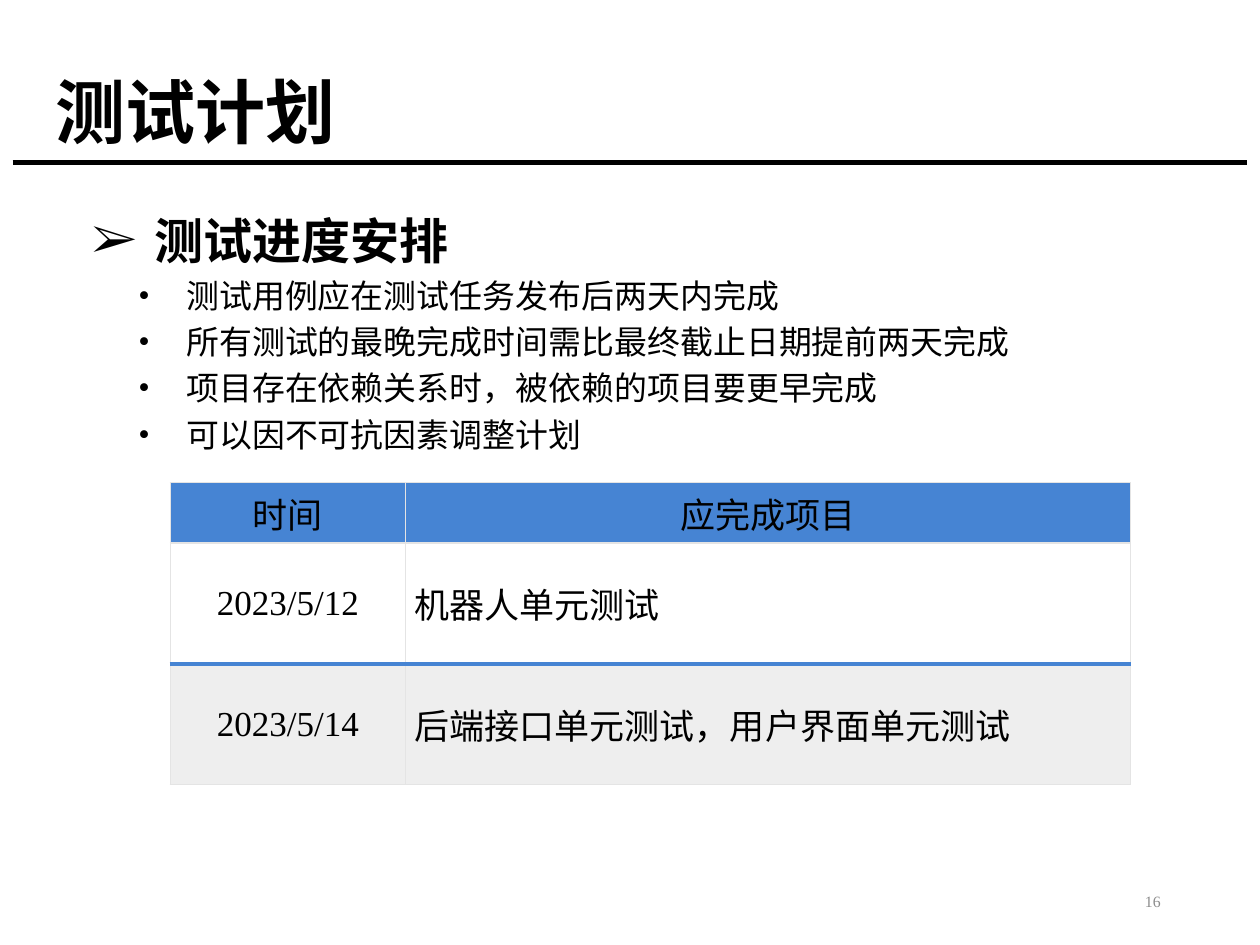
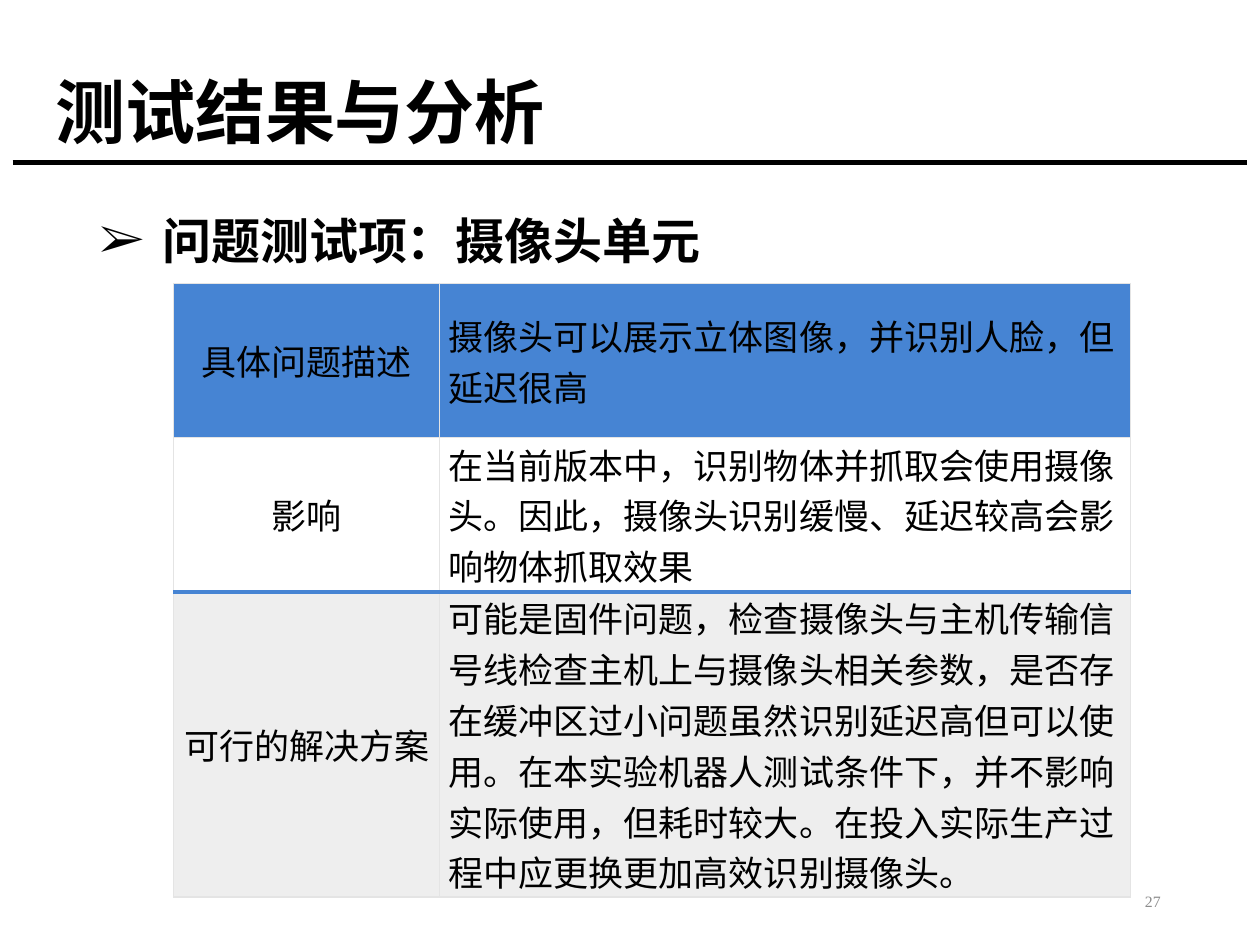
from lxml import etree
from pptx import Presentation
from pptx.dml.color import RGBColor
from pptx.enum.text import MSO_ANCHOR, PP_ALIGN
from pptx.oxml.ns import qn
from pptx.util import Inches, Pt

COLORS = {
    "text": "000000",
    "number": "8C8C8C",
    "accent": "4684D3",
    "plain": "FFFFFF",
    "band": "EEEEEE",
    "grid": "E4E4E4",
}
SERIF = "Times New Roman"
CHINESE = "Noto Sans CJK SC"
ROW_FILLS = ["accent", "plain", "band"]


def color(name):
    return RGBColor.from_string(COLORS[name])


def style(para, size, font, bold=False, ink="text"):
    for span in para.runs:
        span.font.size = Pt(size)
        span.font.name = font
        span.font.bold = bold
        span.font.color.rgb = color(ink)
        east_asian = etree.Element(qn("a:ea"), typeface=CHINESE)
        span.font._element.find(qn("a:latin")).addnext(east_asian)


def add_text_box(page, box, anchor=MSO_ANCHOR.TOP):
    frame = page.shapes.add_textbox(*map(Inches, box)).text_frame
    frame.word_wrap = True
    frame.vertical_anchor = anchor
    return frame


def set_bullet(para, mark, left, hanging):
    properties = para._p.get_or_add_pPr()
    properties.set("marL", str(Inches(left)))
    properties.set("indent", str(-Inches(hanging)))
    etree.SubElement(properties, qn("a:buFont"), typeface=SERIF)
    etree.SubElement(properties, qn("a:buChar"), char=mark)


# Title, rule and page number shared by all pages
def add_frame(page, title, number):
    rule = page.shapes.add_connector(
        1, Inches(0.1), Inches(1.29), Inches(9.9), Inches(1.29))
    rule.line.color.rgb = color("text")
    rule.line.width = Pt(3)
    etree.SubElement(rule._element.spPr, qn("a:effectLst"))

    para = add_text_box(page, (0.34, 0.39, 8.62, 1.06), MSO_ANCHOR.MIDDLE).paragraphs[0]
    para.text = title
    para.line_spacing = 0.9
    style(para, 40, "Calibri", bold=True)

    para = add_text_box(page, (7.06, 6.95, 2.25, 0.4), MSO_ANCHOR.MIDDLE).paragraphs[0]
    para.text = str(number)
    para.alignment = PP_ALIGN.RIGHT
    style(para, 9, SERIF, ink="number")


# Arrow heading followed by round bullets
def add_outline(page, box, heading, points=()):
    frame = add_text_box(page, box)
    para = frame.paragraphs[0]
    para.text = heading
    set_bullet(para, "➢", 0.5, 0.5)
    style(para, 28, SERIF, bold=True)
    for point in points:
        para = frame.add_paragraph()
        para.text = point
        para.level = 1
        para.space_before = Pt(3.8)
        set_bullet(para, "•", 0.75, 0.38)
        style(para, 18.8, "Cambria")


def set_borders(cell, accents):
    properties = cell._tc.get_or_add_tcPr()
    for index, side in enumerate("LRTB"):
        accented = side in accents
        line = etree.Element(qn(f"a:ln{side}"), w=str(Pt(2.25 if accented else 0.75)))
        fill = etree.SubElement(line, qn("a:solidFill"))
        etree.SubElement(fill, qn("a:srgbClr"), val=COLORS["accent" if accented else "grid"])
        properties.insert(index, line)


# Table with a filled top row and an accent line above the last row
def add_grid(page, left, top, widths, heights, rows, font, centred_header=False):
    table = page.shapes.add_table(
        len(rows), len(widths), Inches(left), Inches(top),
        Inches(sum(widths)), Inches(sum(heights))).table
    table.first_row = table.horz_banding = False
    for column, width in zip(table.columns, widths):
        column.width = Inches(width)
    for r, (texts, height) in enumerate(zip(rows, heights)):
        table.rows[r].height = Inches(height)
        accents = {len(rows) - 2: "B", len(rows) - 1: "T"}.get(r, "")
        for c, text in enumerate(texts):
            cell = table.cell(r, c)
            cell.vertical_anchor = MSO_ANCHOR.MIDDLE
            cell.margin_left = cell.margin_right = Inches(0.07)
            cell.margin_top = cell.margin_bottom = 0
            cell.fill.solid()
            cell.fill.fore_color.rgb = color(ROW_FILLS[r])
            set_borders(cell, accents)
            para = cell.text_frame.paragraphs[0]
            para.text = text
            if c == 0 or (r == 0 and centred_header):
                para.alignment = PP_ALIGN.CENTER
            style(para, 20, font)


def add_plan_page(page):
    add_frame(page, "测试计划", 16)
    add_outline(page, (0.63, 1.62, 8.69, 5.73), "测试进度安排", [
        "测试用例应在测试任务发布后两天内完成",
        "所有测试的最晚完成时间需比最终截止日期提前两天完成",
        "项目存在依赖关系时，被依赖的项目要更早完成",
        "可以因不可抗因素调整计划",
    ])
    add_grid(page, 1.35, 3.83, [1.87, 5.75], [0.48, 0.96, 0.96], [
        ("时间", "应完成项目"),
        ("2023/5/12", "机器人单元测试"),
        ("2023/5/14", "后端接口单元测试，用户界面单元测试"),
    ], SERIF, centred_header=True)


def add_result_page(page):
    add_frame(page, "测试结果与分析", 27)
    add_outline(page, (0.69, 1.62, 8.62, 5.01), "问题测试项：摄像头单元")
    # The last row is tall enough for its six lines
    add_grid(page, 1.38, 2.25, [2.11, 5.48], [1.22, 1.23, 2.42], [
        ("具体问题描述", "摄像头可以展示立体图像，并识别人脸，但延迟很高"),
        ("影响", "在当前版本中，识别物体并抓取会使用摄像头。"
               "因此，摄像头识别缓慢、延迟较高会影响物体抓取效果"),
        ("可行的解决方案", "可能是固件问题，检查摄像头与主机传输信号线"
                    "检查主机上与摄像头相关参数，是否存在缓冲区过小问题"
                    "虽然识别延迟高但可以使用。在本实验机器人测试条件下，"
                    "并不影响实际使用，但耗时较大。"
                    "在投入实际生产过程中应更换更加高效识别摄像头。"),
    ], CHINESE)


def main():
    deck = Presentation()
    deck.slide_width, deck.slide_height = Inches(10), Inches(7.5)
    for build in (add_plan_page, add_result_page):
        build(deck.slides.add_slide(deck.slide_layouts[6]))
    deck.save("out.pptx")


if __name__ == "__main__":
    main()
